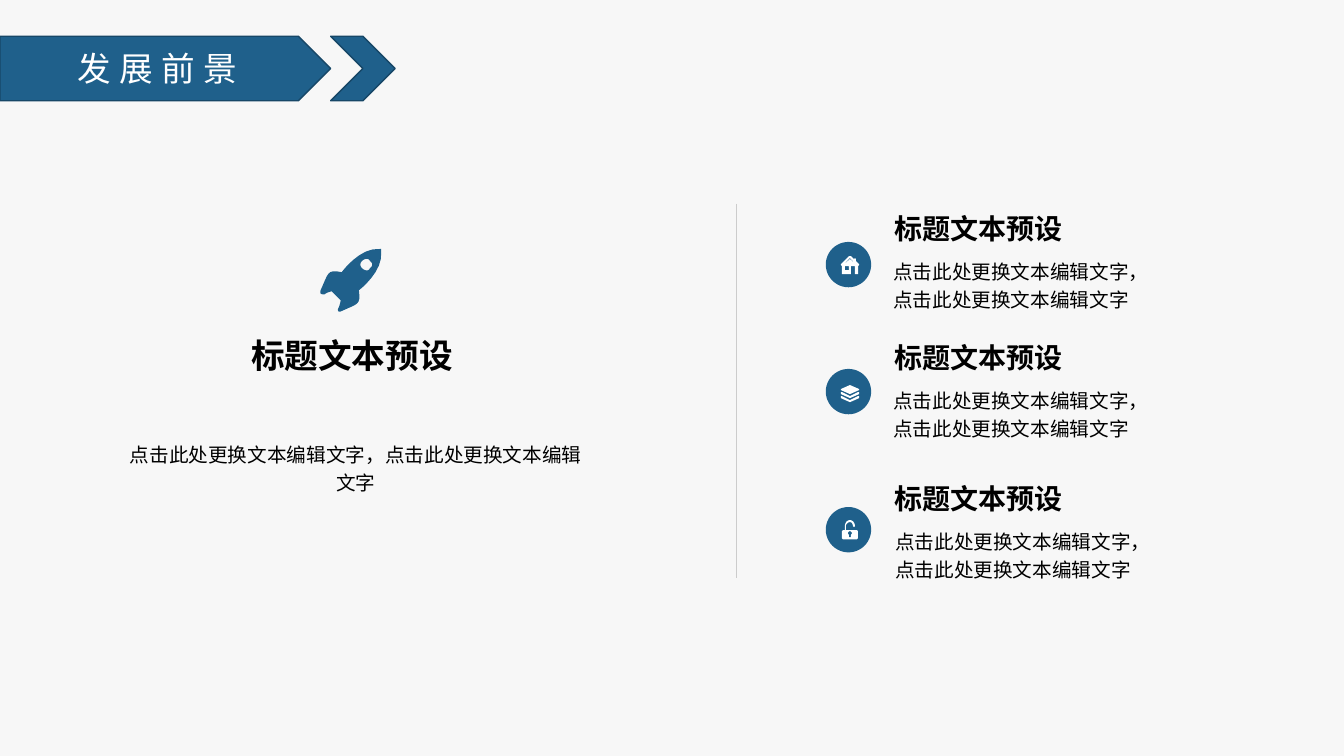
import pptx
import pptx.util
import pptx.dml.color
import pptx.enum.shapes
import pptx.enum.text
import lxml.etree
from pptx.oxml.ns import qn

THEME = {
    "font": "Noto Sans CJK SC",
    "paper": "F7F7F7", "blue": "1F608B", "edge": "174767",
    "white": "FFFFFF", "ink": "000000", "rule": "CCCCCC",
    "title": 24, "heading": 20, "body": 14, "spacing": 6,
}
SLIDE = (13.33, 7.5)
TITLE = "发展前景"
HEADING = "标题文本预设"
BODY = "点击此处更换文本编辑文字，点击此处更换文本编辑文字"

# Two numbers are a straight segment's end, six are a cubic segment.
ROCKET = [
    [(3.56, 2.88), (3.56, 2.88, 3.81, 2.69, 3.78, 2.49), (3.78, 2.47),
     (3.77, 2.47), (3.57, 2.45, 3.39, 2.7, 3.39, 2.7),
     (3.24, 2.67, 3.26, 2.71, 3.18, 2.88), (3.17, 2.92, 3.19, 2.92, 3.22, 2.92),
     (3.24, 2.9, 3.29, 2.89, 3.29, 2.89), (3.38, 2.98),
     (3.38, 2.98, 3.37, 3.03, 3.36, 3.05), (3.34, 3.08, 3.36, 3.1, 3.38, 3.09),
     (3.55, 3.01, 3.58, 3.03, 3.56, 2.88)],
    [(3.59, 2.66), (3.57, 2.64, 3.57, 2.61, 3.59, 2.59),
     (3.62, 2.56, 3.66, 2.56, 3.67, 2.59), (3.7, 2.61, 3.7, 2.64, 3.67, 2.66),
     (3.66, 2.69, 3.62, 2.69, 3.59, 2.66)],
]
HOUSE = [
    [(8.52, 2.63), (8.51, 2.64), (8.43, 2.56), (8.35, 2.64), (8.34, 2.63),
     (8.34, 2.62), (8.42, 2.54), (8.44, 2.54), (8.47, 2.57), (8.48, 2.56),
     (8.49, 2.57), (8.49, 2.59), (8.52, 2.62)],
    [(8.51, 2.64), (8.51, 2.72), (8.48, 2.72), (8.48, 2.64), (8.44, 2.64),
     (8.44, 2.72), (8.35, 2.72), (8.35, 2.64), (8.43, 2.57)],
    [(8.42, 2.64), (8.38, 2.64), (8.38, 2.68), (8.42, 2.68)],
]
LAYERS = [
    [(8.34, 3.86), (8.43, 3.82), (8.52, 3.86), (8.52, 3.87), (8.43, 3.91), (8.34, 3.87)],
] + [
    [(8.34, y), (8.35, y), (8.43, y + 0.04), (8.51, y), (8.52, y),
     (8.52, y + 0.02), (8.43, y + 0.06), (8.34, y + 0.02)]
    for y in (3.89, 3.93)
]
PADLOCK = [
    [(8.5, 5.35), (8.36, 5.35), (8.35, 5.34), (8.35, 5.27), (8.36, 5.26),
     (8.38, 5.26), (8.38, 5.22), (8.38, 5.19, 8.4, 5.16, 8.43, 5.16),
     (8.46, 5.16, 8.48, 5.19, 8.48, 5.22), (8.47, 5.23), (8.46, 5.22),
     (8.46, 5.2, 8.45, 5.18, 8.43, 5.18), (8.41, 5.18, 8.39, 5.2, 8.39, 5.22),
     (8.39, 5.26), (8.5, 5.26), (8.51, 5.27), (8.51, 5.34)],
    [(8.43, 5.27), (8.42, 5.27, 8.41, 5.28, 8.41, 5.29),
     (8.41, 5.3, 8.42, 5.3, 8.42, 5.31), (8.42, 5.32),
     (8.42, 5.33, 8.42, 5.33, 8.43, 5.33), (8.44, 5.33, 8.44, 5.33, 8.44, 5.32),
     (8.44, 5.31), (8.44, 5.3, 8.45, 5.3, 8.45, 5.29),
     (8.45, 5.28, 8.44, 5.27, 8.43, 5.27)],
]
ROWS = [
    {"top": 2.05, "body_left": 8.76, "dot_top": 2.4, "icon": HOUSE},
    {"top": 3.33, "body_left": 8.76, "dot_top": 3.66, "icon": LAYERS},
    {"top": 4.73, "body_left": 8.78, "dot_top": 5.03, "icon": PADLOCK},
]

Inches, Pt = pptx.util.Inches, pptx.util.Pt
SHAPE = pptx.enum.shapes.MSO_SHAPE
CENTER = pptx.enum.text.PP_ALIGN.CENTER
LEFT = pptx.enum.text.PP_ALIGN.LEFT


def rgb(key):
    return pptx.dml.color.RGBColor.from_string(THEME[key])


def paint(sp, fill, edge=None):
    sp.shadow.inherit = False
    sp.fill.solid()
    sp.fill.fore_color.rgb = rgb(fill)
    if edge:
        sp.line.color.rgb = rgb(edge)
        sp.line.width = Pt(1)
    else:
        sp.line.fill.background()


def add_preset(s, kind, box, edge=None):
    sp = s.shapes.add_shape(kind, *map(Inches, box))
    paint(sp, "blue", edge)
    return sp


def write(sp, text, size, color="ink", align=LEFT, bold=False, leading=None, wrap=True):
    tf = sp.text_frame
    tf.text = text
    tf.word_wrap = wrap
    p = tf.paragraphs[0]
    p.alignment = align
    if leading:
        p.line_spacing = leading
    r = p.runs[0]
    r.font.size = Pt(THEME[size])
    r.font.bold = bold
    r.font.color.rgb = rgb(color)
    r.font.name = THEME["font"]
    lxml.etree.SubElement(r.font._element, qn("a:ea")).set("typeface", THEME["font"])
    return r


def add_text(s, box, text, size, **style):
    return write(s.shapes.add_textbox(*map(Inches, box)), text, size, **style)


def flatten(contour, steps=8):
    points = [contour[0]]
    for seg in contour[1:]:
        if len(seg) == 2:
            points.append(seg)
            continue
        a, b, c, d = points[-1], seg[:2], seg[2:4], seg[4:]
        for i in range(1, steps + 1):
            t = i / steps
            u = 1 - t
            points.append(tuple(
                u**3 * a[k] + 3 * u * u * t * b[k] + 3 * u * t * t * c[k] + t**3 * d[k]
                for k in (0, 1)))
    return [(Inches(x), Inches(y)) for x, y in points]


def add_icon(s, contours, fill):
    first, *others = map(flatten, contours)
    fb = s.shapes.build_freeform(*first[0], scale=1.0)
    fb.add_line_segments(first[1:], close=True)
    for points in others:
        fb.move_to(*points[0])
        fb.add_line_segments(points[1:], close=True)
    paint(fb.convert_to_shape(), fill)


def main():
    prs = pptx.Presentation()
    prs.slide_width, prs.slide_height = map(Inches, SLIDE)
    s = prs.slides.add_slide(prs.slide_layouts[6])
    s.background.fill.solid()
    s.background.fill.fore_color.rgb = rgb("paper")

    banner = add_preset(s, SHAPE.PENTAGON, (0, 0.36, 3.28, 0.64), "edge")
    banner.text_frame.vertical_anchor = pptx.enum.text.MSO_ANCHOR.MIDDLE
    r = write(banner, TITLE, "title", color="white", align=CENTER)
    r.font._element.set("spc", str(THEME["spacing"] * 100))
    add_preset(s, SHAPE.CHEVRON, (3.28, 0.36, 0.64, 0.64), "edge")

    for row in ROWS:
        add_text(s, (row["body_left"], row["top"] + 0.43, 2.91, 0.57), BODY, "body", leading=1.2)
        add_text(s, (8.77, row["top"], 1.87, 0.43), HEADING, "heading", bold=True, wrap=False)
        add_preset(s, SHAPE.OVAL, (8.19, row["dot_top"], 0.45, 0.45))
        add_icon(s, row["icon"], "white")

    add_text(s, (0.57, 3.27, 5.84, 0.6), HEADING, "title", align=CENTER, bold=True, wrap=False)
    add_text(s, (1.18, 4.3, 4.7, 0.86), BODY, "body", align=CENTER, leading=1.2)
    add_icon(s, ROCKET, "blue")

    divider = s.shapes.add_connector(
        pptx.enum.shapes.MSO_CONNECTOR.STRAIGHT, *map(Inches, (7.3, 2.02, 7.3, 5.73)))
    divider.line.color.rgb = rgb("rule")
    divider.line.width = Pt(0.5)
    lxml.etree.SubElement(divider._element.spPr, qn("a:effectLst"))

    prs.save("out.pptx")


if __name__ == "__main__":
    main()
